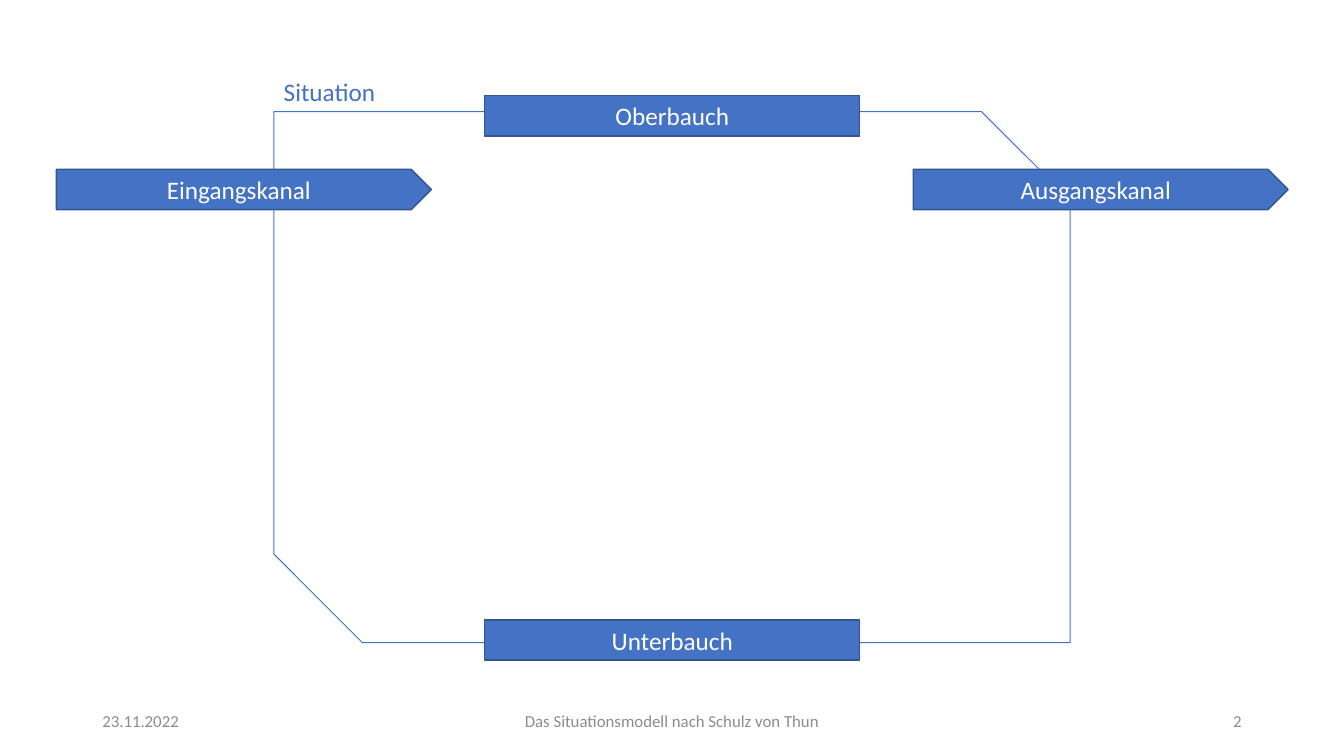
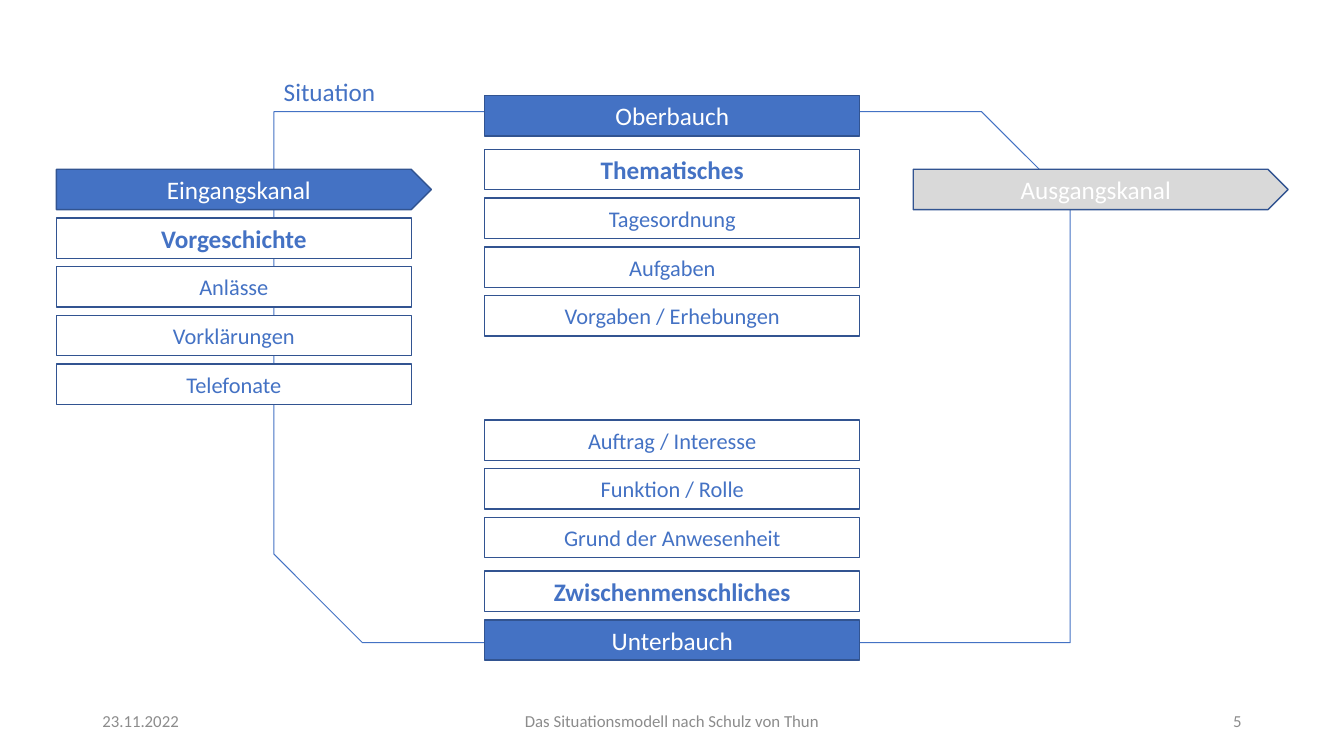
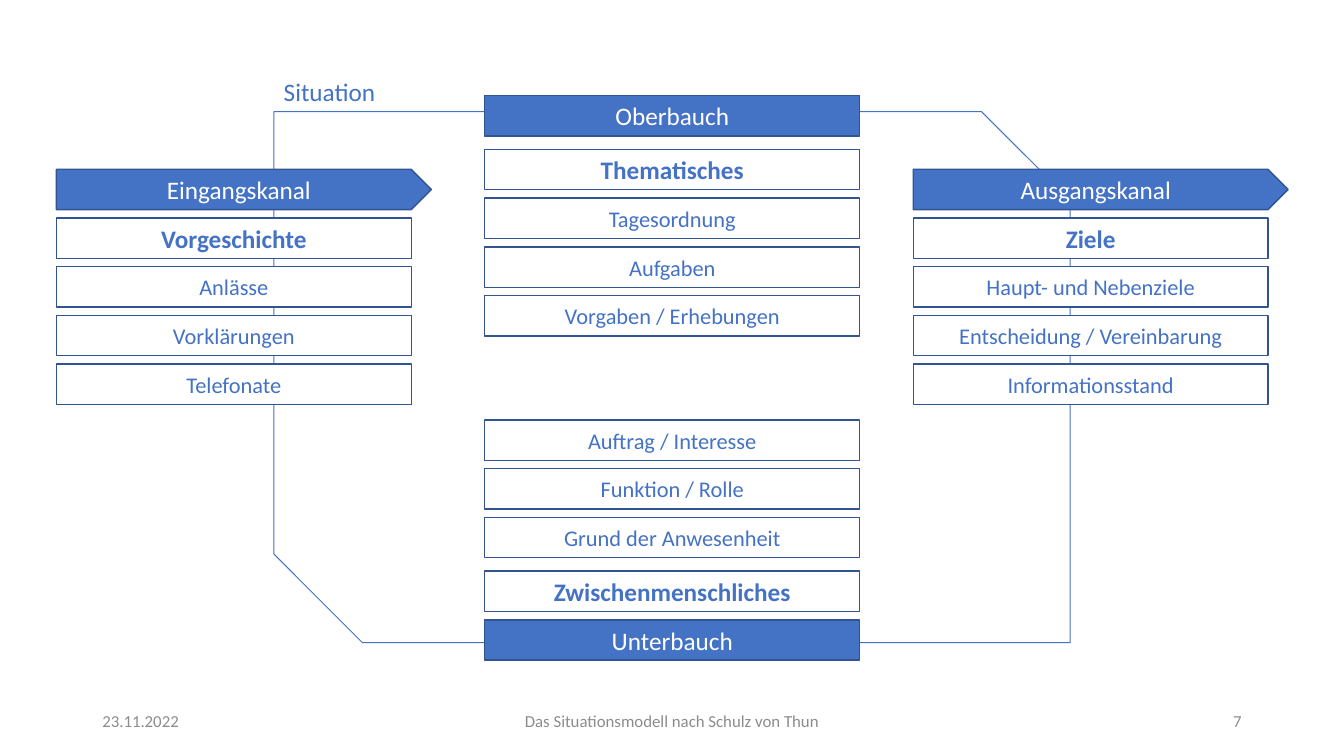
import pptx
import pptx.util
import pptx.dml.color
import pptx.enum.shapes
import pptx.enum.text

SHAPE = pptx.enum.shapes.MSO_SHAPE
ALIGN = pptx.enum.text.PP_ALIGN
ANCHOR = pptx.enum.text.MSO_ANCHOR


def rgb(value):
    return pptx.dml.color.RGBColor.from_string(value)


class Deck:
    COLS, ROWS = 160, 90
    FONT = "Calibri"
    BLUE, EDGE, WHITE = "4472C4", "325491", "FFFFFF"
    PALE, GREY = "D9D9D9", "8C8C8C"
    LANES = [6.72, 57.72, 108.72]
    BAR_W, BAR_H, TIP = 44.64, 4.8, 2.4
    PITCH, EXTRA = 5.8, 0.6
    TOP, SIDE, BOTTOM = 11.4, 20.16, 73.8

    def __init__(self):
        self.prs = pptx.Presentation()
        self.prs.slide_width = pptx.util.Inches(13.33)
        self.prs.slide_height = pptx.util.Inches(7.5)
        self.s = None

    def box(self, col, row, cols, rows):
        dx = self.prs.slide_width / self.COLS
        dy = self.prs.slide_height / self.ROWS
        return [round(v) for v in (col * dx, row * dy, cols * dx, rows * dy)]

    def set_text(self, sp, text, size, color, align, bold=False, anchor=ANCHOR.MIDDLE):
        tf = sp.text_frame
        tf.text = text
        tf.vertical_anchor = anchor
        p = tf.paragraphs[0]
        p.alignment = align
        f = p.runs[0].font
        f.name = self.FONT
        f.size = pptx.util.Pt(size)
        f.bold = bold
        f.color.rgb = rgb(color)

    def shape(self, kind, at, fill, line, weight):
        sp = self.s.shapes.add_shape(kind, *self.box(*at))
        sp.shadow.inherit = False
        if fill:
            sp.fill.solid()
            sp.fill.fore_color.rgb = rgb(fill)
        else:
            sp.fill.background()
        sp.line.color.rgb = rgb(line)
        sp.line.width = pptx.util.Pt(weight)
        return sp

    def label(self, at, text, size, color, align, wrap=True, anchor=ANCHOR.MIDDLE):
        sp = self.s.shapes.add_textbox(*self.box(*at))
        sp.text_frame.word_wrap = wrap
        self.set_text(sp, text, size, color, align, anchor=anchor)
        return sp

    def situation(self):
        frame = self.shape(SHAPE.SNIP_2_DIAG_RECTANGLE, (32.6, 13.3, 94.8, 63.2),
                           None, self.BLUE, 0.75)
        label = self.label((32.6, 8.5, 13.4, 4.8), "Situation", 18, self.BLUE,
                           ALIGN.LEFT, False, ANCHOR.TOP)
        label.text_frame.auto_size = pptx.enum.text.MSO_AUTO_SIZE.SHAPE_TO_FIT_TEXT
        self.s.shapes.add_group_shape([frame, label])

    def footer(self, number):
        for col, cols, text, align in (
            (11, 36, "23.11.2022", ALIGN.LEFT),
            (53, 54, "Das Situationsmodell nach Schulz von Thun", ALIGN.CENTER),
            (113, 36, str(number), ALIGN.RIGHT),
        ):
            self.label((col, 83.4, cols, 4.8), text, 12, self.GREY, align)

    def header(self, lane, row, text, kind=SHAPE.RECTANGLE, active=True):
        sp = self.shape(kind, (self.LANES[lane], row, self.BAR_W, self.BAR_H),
                        self.BLUE if active else self.PALE, self.EDGE, 1)
        self.set_text(sp, text, 18, self.WHITE, ALIGN.CENTER)

    def card(self, lane, row, text, title):
        cols = self.BAR_W if lane == 1 else self.BAR_W - self.TIP
        sp = self.shape(SHAPE.RECTANGLE, (self.LANES[lane], row, cols, self.BAR_H),
                        self.WHITE, self.EDGE, 1)
        self.set_text(sp, text, 18 if title else 16, self.BLUE, ALIGN.CENTER, title)

    def stack(self, lane, row, texts, step=1, lead=0, gap=0):
        for i, text in enumerate(texts):
            offset = (i + 1) * self.PITCH + lead + (gap if i else 0)
            self.card(lane, row + step * offset, text, i == 0)

    def model(self, number, output_active=True):
        self.s = self.prs.slides.add_slide(self.prs.slide_layouts[6])
        self.situation()
        self.footer(number)
        self.header(0, self.SIDE, "Eingangskanal", SHAPE.PENTAGON)
        self.header(2, self.SIDE, "Ausgangskanal", SHAPE.PENTAGON, output_active)
        self.header(1, self.TOP, "Oberbauch")
        self.header(1, self.BOTTOM, "Unterbauch")

    def inputs(self):
        self.stack(0, self.SIDE,
                   ["Vorgeschichte", "Anlässe", "Vorklärungen", "Telefonate"])

    def topics(self):
        self.stack(1, self.TOP,
                   ["Thematisches", "Tagesordnung", "Aufgaben", "Vorgaben / Erhebungen"],
                   lead=self.EXTRA)

    def relations(self):
        self.stack(1, self.BOTTOM,
                   ["Zwischenmenschliches", "Grund der Anwesenheit",
                    "Funktion / Rolle", "Auftrag / Interesse"],
                   step=-1, gap=self.EXTRA)

    def outputs(self):
        self.stack(2, self.SIDE,
                   ["Ziele", "Haupt- und Nebenziele",
                    "Entscheidung / Vereinbarung", "Informationsstand"])


def main():
    deck = Deck()
    deck.model(2)
    for number, complete in ((5, False), (7, True)):
        deck.model(number, complete)
        deck.inputs()
        deck.topics()
        deck.relations()
        if complete:
            deck.outputs()
    deck.prs.save("out.pptx")


if __name__ == "__main__":
    main()
